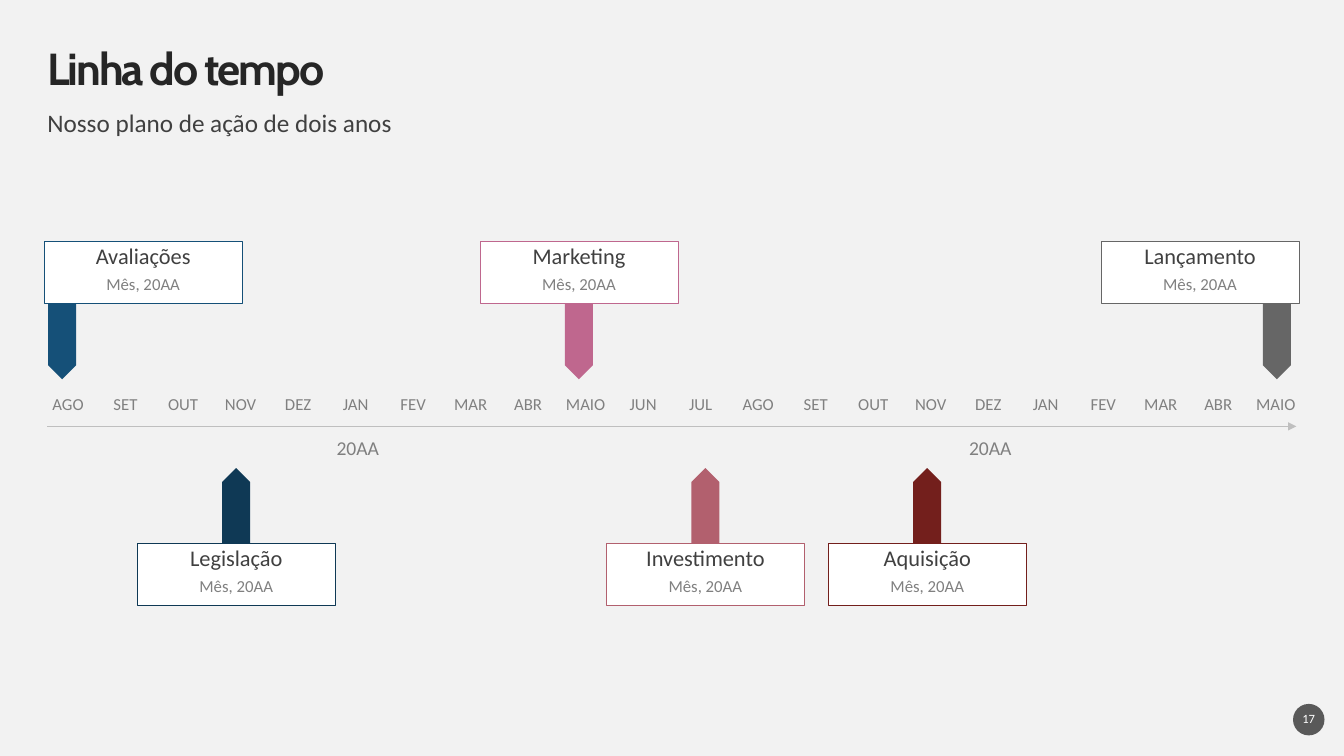
from lxml.etree import SubElement
from pptx import Presentation
from pptx.dml.color import RGBColor
from pptx.enum.shapes import MSO_CONNECTOR, MSO_SHAPE
from pptx.enum.text import MSO_ANCHOR, MSO_AUTO_SIZE, PP_ALIGN
from pptx.oxml.ns import qn
from pptx.util import Pt

BACKGROUND = RGBColor(0xF2, 0xF2, 0xF2)
WHITE = RGBColor(0xFF, 0xFF, 0xFF)
INK = RGBColor(0x26, 0x26, 0x26)
TEXT = RGBColor(0x40, 0x40, 0x40)
MUTED = RGBColor(0x80, 0x80, 0x80)
AXIS = RGBColor(0xBF, 0xBF, 0xBF)
BADGE = RGBColor(0x59, 0x59, 0x59)
BLUE = RGBColor(0x15, 0x50, 0x78)
NAVY = RGBColor(0x0F, 0x39, 0x55)
PINK = RGBColor(0xBF, 0x67, 0x8E)
ROSE = RGBColor(0xB2, 0x60, 0x6E)
MAROON = RGBColor(0x73, 0x1F, 0x1C)
GRAY = RGBColor(0x66, 0x66, 0x66)

TITLE_FONT = {"name": "Cabin", "size": Pt(32), "bold": True}
SUBTITLE_FONT = {"name": "Calibri", "size": Pt(18)}
CARD_FONT = {"name": "Calibri", "size": Pt(16)}
YEAR_FONT = {"name": "Calibri", "size": Pt(14)}
SMALL_FONT = {"name": "Calibri", "size": Pt(12)}
PAGE_FONT = {"name": "Calibri", "size": Pt(9)}


def write(shape, text, font, color, align=PP_ALIGN.CENTER,
          anchor=MSO_ANCHOR.TOP, top_inset=0):
    frame = shape.text_frame
    layout = {"word_wrap": True, "auto_size": MSO_AUTO_SIZE.NONE,
              "vertical_anchor": anchor, "margin_left": 0, "margin_right": 0,
              "margin_top": Pt(top_inset), "margin_bottom": 0}
    for name, value in layout.items():
        setattr(frame, name, value)
    paragraph = frame.paragraphs[0]
    paragraph.alignment = align
    paragraph.line_spacing = 0.9
    paragraph.space_before = Pt(0)
    run = paragraph.add_run()
    run.text = text
    for name, value in font.items():
        setattr(run.font, name, value)
    run.font.color.rgb = color
    return run


def add_block(kind, left, top, width, height, fill, outline=None):
    block = slide.shapes.add_shape(kind, Pt(left), Pt(top), Pt(width), Pt(height))
    block.shadow.inherit = False
    block.fill.solid()
    block.fill.fore_color.rgb = fill
    if outline is None:
        block.line.fill.background()
    else:
        block.line.color.rgb = outline
        block.line.width = Pt(0.25)
    return block


prs = Presentation()
prs.slide_width, prs.slide_height = Pt(960), Pt(540)
slide = prs.slides.add_slide(prs.slide_layouts[1])
slide.background.fill.solid()
slide.background.fill.fore_color.rgb = BACKGROUND

# Title and subtitle
title, subtitle = slide.shapes.title, slide.placeholders[1]
for heading, top, height in ((title, 33.84, 33.84), (subtitle, 79.2, 20.2)):
    heading.left, heading.top = Pt(33.84), Pt(top)
    heading.width, heading.height = Pt(892), Pt(height)
title_run = write(title, "Linha do tempo", TITLE_FONT, INK, PP_ALIGN.LEFT, MSO_ANCHOR.MIDDLE)
title_run.font._element.set("spc", "-150")
write(subtitle, "Nosso plano de ação de dois anos", SUBTITLE_FONT, TEXT, PP_ALIGN.LEFT)
subtitle_format = subtitle.text_frame.paragraphs[0]._p.get_or_add_pPr()
subtitle_format.set("marL", "0")
subtitle_format.set("indent", "0")
SubElement(subtitle_format, qn("a:buNone"))

# Time axis
axis = slide.shapes.add_connector(MSO_CONNECTOR.STRAIGHT, Pt(33.84), Pt(304.6), Pt(926), Pt(304.6))
axis.line.color.rgb = AXIS
axis.line.width = Pt(0.5)
SubElement(axis.line._get_or_add_ln(), qn("a:tailEnd"), type="triangle")
SubElement(axis._element.spPr, qn("a:effectLst"))

# Months, evenly spaced, and years
MONTHS = ("AGO SET OUT NOV DEZ JAN FEV MAR ABR MAIO JUN "
          "JUL AGO SET OUT NOV DEZ JAN FEV MAR ABR MAIO").split()
for i, month in enumerate(MONTHS):
    label = slide.shapes.add_textbox(Pt(33.84 + 41.08 * i), Pt(283), Pt(29.6), Pt(15.8))
    write(label, month, SMALL_FONT, MUTED)
for left in (239.4, 691.2):
    year = slide.shapes.add_textbox(Pt(left), Pt(313), Pt(32.4), Pt(15.8))
    write(year, "20AA", YEAR_FONT, MUTED, anchor=MSO_ANCHOR.MIDDLE)

# Milestones: name, card left, marker centre, colour, above the axis
MILESTONES = [
    ("Avaliações", 31.6, 44.4, BLUE, True),
    ("Legislação", 98.1, 168.7, NAVY, False),
    ("Marketing", 342.9, 413.5, PINK, True),
    ("Investimento", 433.2, 503.9, ROSE, False),
    ("Aquisição", 591.7, 662.2, MAROON, False),
    ("Lançamento", 786.5, 912, GRAY, True),
]
MARKER_LENGTH, MARKER_WIDTH = 54, 20
for name, left, center, color, above in MILESTONES:
    card_top, marker_middle, turn = (172.4, 243.9, 90) if above else (388, 361.3, 270)
    marker = add_block(MSO_SHAPE.PENTAGON, center - MARKER_LENGTH / 2,
                       marker_middle - MARKER_WIDTH / 2, MARKER_LENGTH, MARKER_WIDTH, color)
    marker.rotation = turn
    card = add_block(MSO_SHAPE.RECTANGLE, left, card_top, 141.4, 44.2, WHITE, color)
    write(card, name, CARD_FONT, TEXT, top_inset=2.9)
    date = slide.shapes.add_textbox(Pt(left + 4), Pt(card_top + 24.6), Pt(133.4), Pt(18))
    write(date, "Mês, 20AA", SMALL_FONT, MUTED)

# Page number
badge = add_block(MSO_SHAPE.OVAL, 923.6, 502.8, 22.5, 22.5, BADGE)
write(badge, "17", PAGE_FONT, WHITE, anchor=MSO_ANCHOR.MIDDLE)

prs.save("out.pptx")
